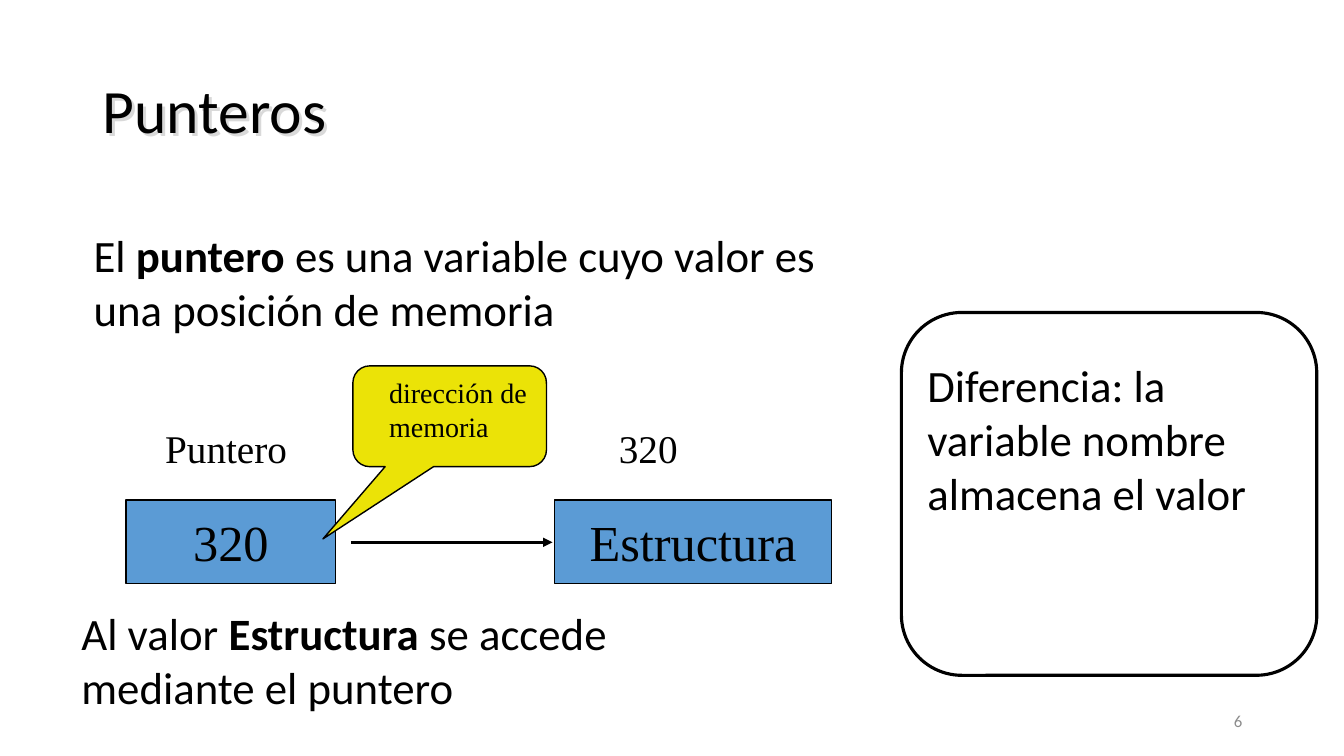
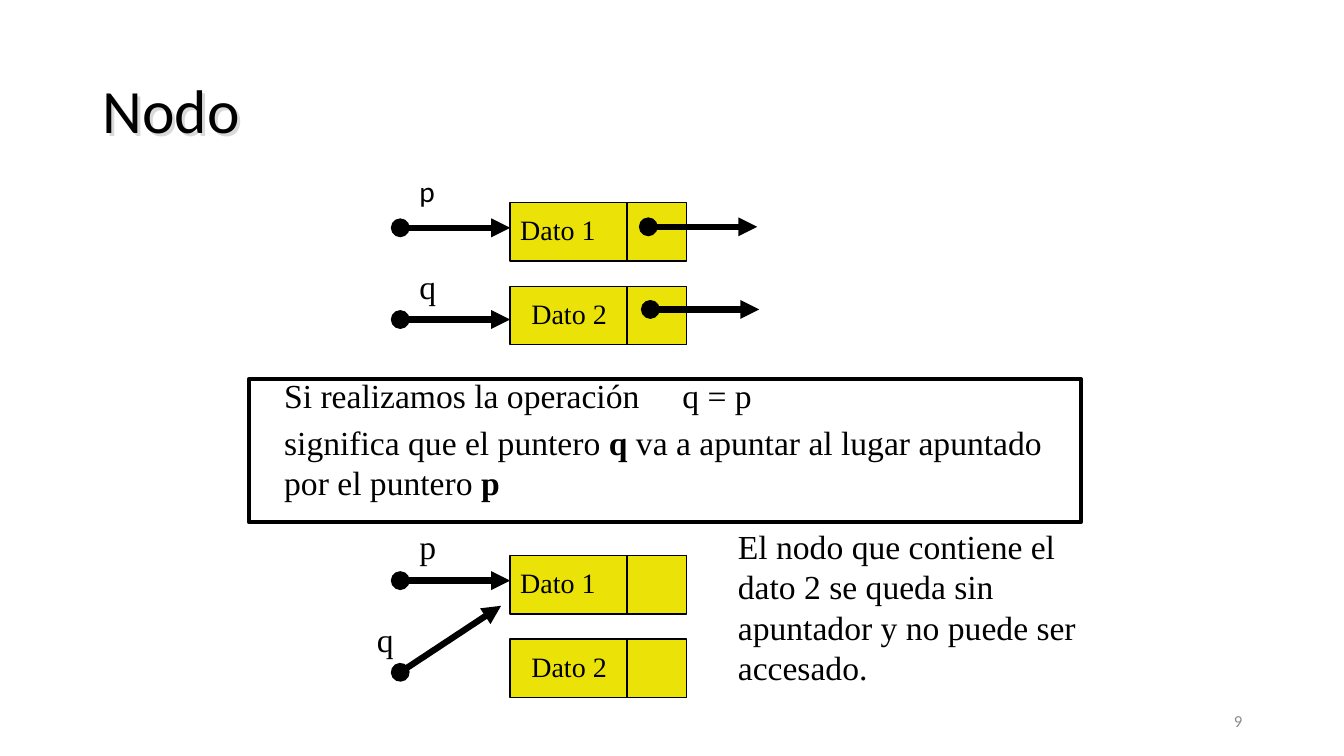
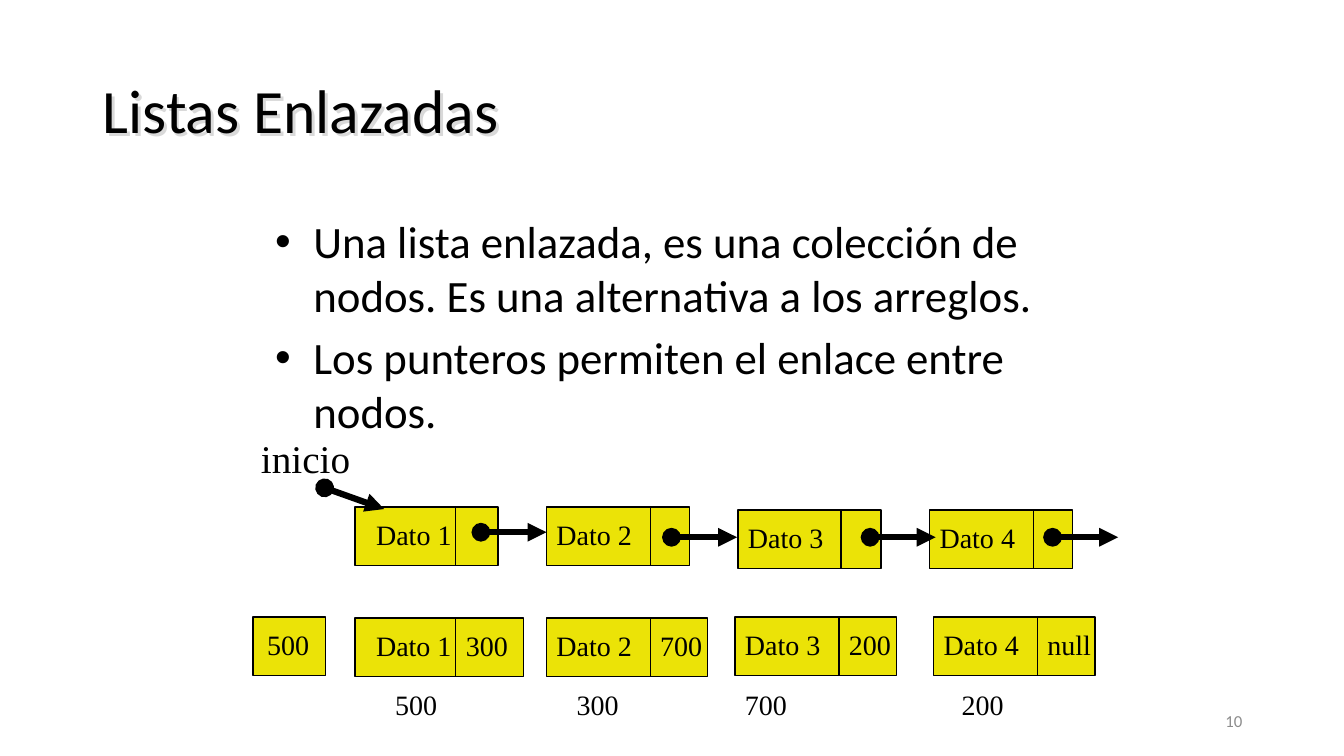
import pptx
import pptx.dml.color
import pptx.enum.shapes
import pptx.enum.text
import pptx.oxml
import pptx.oxml.ns
import pptx.util
from lxml import etree

Inches = pptx.util.Inches
Pt = pptx.util.Pt
RGBColor = pptx.dml.color.RGBColor
Align = pptx.enum.text.PP_ALIGN
Anchor = pptx.enum.text.MSO_ANCHOR
Shape = pptx.enum.shapes.MSO_SHAPE
qn = pptx.oxml.ns.qn

BLACK = RGBColor(0x00, 0x00, 0x00)
WHITE = RGBColor(0xFF, 0xFF, 0xFF)
GREY = RGBColor(0x8C, 0x8C, 0x8C)
BLUE = RGBColor(0x5B, 0x9B, 0xD5)
YELLOW = RGBColor(0xEB, 0xE3, 0x07)
SHADOW = RGBColor(0xD9, 0xD9, 0xD9)

SANS = "Calibri"
SERIF = "Times New Roman"
NODE_HEIGHT = 0.58


def add_spans(para, spans, size, font, color):
    for text, bold in spans:
        span = para.add_run()
        span.text = text
        span.font.size = Pt(size)
        span.font.name = font
        span.font.bold = bold
        span.font.color.rgb = color


def add_bullet(para):
    properties = para._p.get_or_add_pPr()
    properties.set("marL", str(Inches(0.38)))
    properties.set("indent", str(-Inches(0.38)))
    etree.SubElement(properties, qn("a:buFont"), typeface="Arial")
    etree.SubElement(properties, qn("a:buChar"), char="•")


def add_tab(para, position):
    stops = etree.SubElement(para._p.get_or_add_pPr(), qn("a:tabLst"))
    etree.SubElement(stops, qn("a:tab"), pos=str(Inches(position)), algn="l")


def add_text_shadow(box):
    effects = etree.SubElement(box._element.spPr, qn("a:effectLst"))
    shadow = etree.SubElement(effects, qn("a:outerShdw"), dist=str(Pt(3)),
                              dir="2700000", algn="tl", rotWithShape="0")
    etree.SubElement(shadow, qn("a:srgbClr"), val=str(SHADOW))


def write(shape, paragraphs, size, font=SERIF, color=BLACK, align=Align.LEFT,
          anchor=Anchor.TOP, spacing=None, pad=0.1, right_pad=0.1,
          bullets=False, tab=None):
    frame = shape.text_frame
    frame.word_wrap = True
    frame.vertical_anchor = anchor
    frame.margin_left = Inches(pad)
    frame.margin_right = Inches(right_pad)
    frame.margin_top = frame.margin_bottom = Inches(0.05)
    for index, content in enumerate(paragraphs):
        para = frame.add_paragraph() if index else frame.paragraphs[0]
        if bullets:
            add_bullet(para)
        if tab:
            add_tab(para, tab)
        para.alignment = align
        if spacing:
            para.line_spacing = spacing
        if index:
            para.space_before = Pt(size * 0.2)
        spans = [(content, False)] if isinstance(content, str) else content
        add_spans(para, spans, size, font, color)


def add_text(slide, place, paragraphs, size, **style):
    box = slide.shapes.add_textbox(*map(Inches, place))
    write(box, paragraphs, size, **style)
    return box


def add_shape(slide, place, fill=None, kind=Shape.RECTANGLE, weight=1):
    shape = slide.shapes.add_shape(kind, *map(Inches, place))
    shape.shadow.inherit = False
    if fill is None:
        shape.fill.background()
    else:
        shape.fill.solid()
        shape.fill.fore_color.rgb = fill
    shape.line.color.rgb = BLACK
    shape.line.width = Pt(weight)
    return shape


def add_line(slide, start, end, weight=1, head=None, tail=None):
    line = slide.shapes.add_connector(
        pptx.enum.shapes.MSO_CONNECTOR.STRAIGHT, *map(Inches, start + end))
    line.line.color.rgb = BLACK
    line.line.width = Pt(weight)
    outline = line.line._get_or_add_ln()
    for tag, kind in (("a:headEnd", head), ("a:tailEnd", tail)):
        if kind:
            etree.SubElement(outline, qn(tag), type=kind)
    etree.SubElement(line._element.spPr, qn("a:effectLst"))


def add_pointer(slide, start, end):
    add_line(slide, start, end, 4.5, "oval", "triangle")


def add_cell(slide, place, text, pad=0.1, tab=None):
    cell = add_shape(slide, place, YELLOW)
    write(cell, [text], 20, anchor=Anchor.MIDDLE, spacing=0.9, pad=pad,
          right_pad=0, tab=tab)


def add_node(slide, left, top, width, divider, label, value=None, pad=0.1):
    text = f"{label}\t{value}" if value else label
    tab = divider + 0.1 - pad if value else None
    add_cell(slide, (left, top, width, NODE_HEIGHT), text, pad, tab)
    add_line(slide, (left + divider, top), (left + divider, top + NODE_HEIGHT))


def add_page(deck, title, number):
    page = deck.slides.add_slide(deck.slide_layouts[6])
    add_text(page, (9.42, 6.95, 3, 0.4), [number], 12, font=SANS, color=GREY,
             align=Align.RIGHT, anchor=Anchor.MIDDLE)
    heading = add_text(page, (0.92, 0.4, 11.5, 1.45), [title], 44, font=SANS,
                       anchor=Anchor.MIDDLE, spacing=0.9)
    add_text_shadow(heading)
    return page


def build_pointers(deck):
    page = add_page(deck, "Punteros", "6")
    add_text(page, (0.83, 2.21, 7.42, 1.33),
             [[("El ", False), ("puntero", True),
               (" es una variable cuyo valor es una posición de memoria", False)]],
             32, font=SANS)
    for left, width, text in ((5.5, 2.75, "Estructura"), (1.25, 2.08, "320")):
        block = add_shape(page, (left, 4.96, width, 0.83), BLUE)
        write(block, [text], 36, align=Align.CENTER, anchor=Anchor.MIDDLE)
    add_line(page, (3.48, 5.38), (5.48, 5.38), 2.25, tail="triangle")
    callout = add_shape(page, (3.5, 3.63, 1.92, 1), YELLOW,
                        Shape.ROUNDED_RECTANGULAR_CALLOUT)
    for index, value in enumerate((-0.655, 1.217, 0.167)):
        callout.adjustments[index] = value
    write(callout, ["dirección de memoria"], 20, pad=0.31)
    for left, text in ((6.04, "320"), (1.54, "Puntero")):
        add_text(page, (left, 4.21, 1.46, 0.5), [text], 28, spacing=0.9)
    add_text(page, (0.71, 5.96, 5.94, 1.33),
             [[("Al valor ", False), ("Estructura", True),
               (" se accede mediante el puntero", False)]], 32, font=SANS)
    add_shape(page, (8.94, 3.1, 4.12, 3.6), WHITE, Shape.ROUNDED_RECTANGLE, 2.25)
    add_text(page, (9.1, 3.5, 3.67, 1.88),
             ["Diferencia: la variable nombre almacena el valor"], 32, font=SANS)


def build_node(deck):
    page = add_page(deck, "Nodo", "9")
    for top in (2.01, 5.51):
        add_node(page, 5.06, top, 1.75, 1.16, "Dato 1")
        add_node(page, 5.06, top + 0.83, 1.75, 1.16, "Dato 2", pad=0.21)
    for left, top, name, size, font in (
            (4.06, 1.67, "p", 21, SANS), (4.06, 2.59, "q", 24, SERIF),
            (4.06, 5.17, "p", 24, SERIF), (3.64, 6.09, "q", 24, SERIF)):
        add_text(page, (left, top, 0.42, 0.58), [name], size, font=font)
    for start, end in (
            ((3.97, 2.26), (5.06, 2.26)), ((3.97, 3.17), (5.06, 3.17)),
            ((3.97, 5.76), (5.06, 5.76)), ((3.97, 6.67), (4.97, 6.01)),
            ((6.43, 2.25), (7.51, 2.25)), ((6.45, 3.07), (7.53, 3.07))):
        add_pointer(page, start, end)
    add_text(page, (2.72, 3.67, 7.83, 1.42),
             ["Si realizamos la operación\tq = p",
              [("significa que el puntero ", False), ("q", True),
               (" va a apuntar al lugar apuntado por el puntero ", False),
               ("p", True)]], 24, tab=3.95)
    add_text(page, (7.22, 5.17, 3.58, 1.67),
             ["El nodo que contiene el dato 2 se queda sin apuntador "
              "y no puede ser accesado."], 24)
    add_shape(page, (2.47, 3.76, 8.25, 1.42), weight=3)


def build_linked_lists(deck):
    page = add_page(deck, "Listas Enlazadas", "10")
    add_text(page, (2.63, 2.07, 8.75, 2.47),
             ["Una lista enlazada, es una colección de nodos. "
              "Es una alternativa a los arreglos.",
              "Los punteros permiten el enlace entre nodos."],
             32, font=SANS, bullets=True)
    add_text(page, (2.49, 4.31, 1.42, 0.42), ["inicio"], 28, spacing=0.9)
    for left, top, divider, label, pad in (
            (3.52, 5.03, 1, "Dato 1", 0.21), (5.42, 5.03, 1.03, "Dato 2", 0.1),
            (7.32, 5.06, 1.02, "Dato 3", 0.1), (9.22, 5.06, 1.03, "Dato 4", 0.1)):
        add_node(page, left, top, 1.42, divider, label, pad=pad)
    add_pointer(page, (3.22, 4.84), (3.81, 5.05))
    for left, y in ((4.77, 5.28), (6.66, 5.33), (8.63, 5.33), (10.44, 5.33)):
        add_pointer(page, (left, y), (left + 0.65, y))
    add_cell(page, (2.51, 6.12, 0.72, NODE_HEIGHT), "500", pad=0.14)
    for left, top, width, divider, label, value, pad, address, address_left in (
            (3.52, 6.13, 1.67, 1, "Dato 1", "300", 0.21, "500", 3.82),
            (5.42, 6.13, 1.6, 1.03, "Dato 2", "700", 0.1, "300", 5.62),
            (7.29, 6.12, 1.6, 1.03, "Dato 3", "200", 0.1, "700", 7.29),
            (9.26, 6.12, 1.6, 1.03, "Dato 4", "null", 0.1, "200", 9.44)):
        add_node(page, left, top, width, divider, label, value, pad)
        add_text(page, (address_left, 6.81, 0.8, 0.42), [address], 20, spacing=0.9)


def main():
    deck = pptx.Presentation()
    deck.slide_width = Inches(13.33)
    deck.slide_height = Inches(7.5)
    build_pointers(deck)
    build_node(deck)
    build_linked_lists(deck)
    deck.save("out.pptx")


if __name__ == "__main__":
    main()
